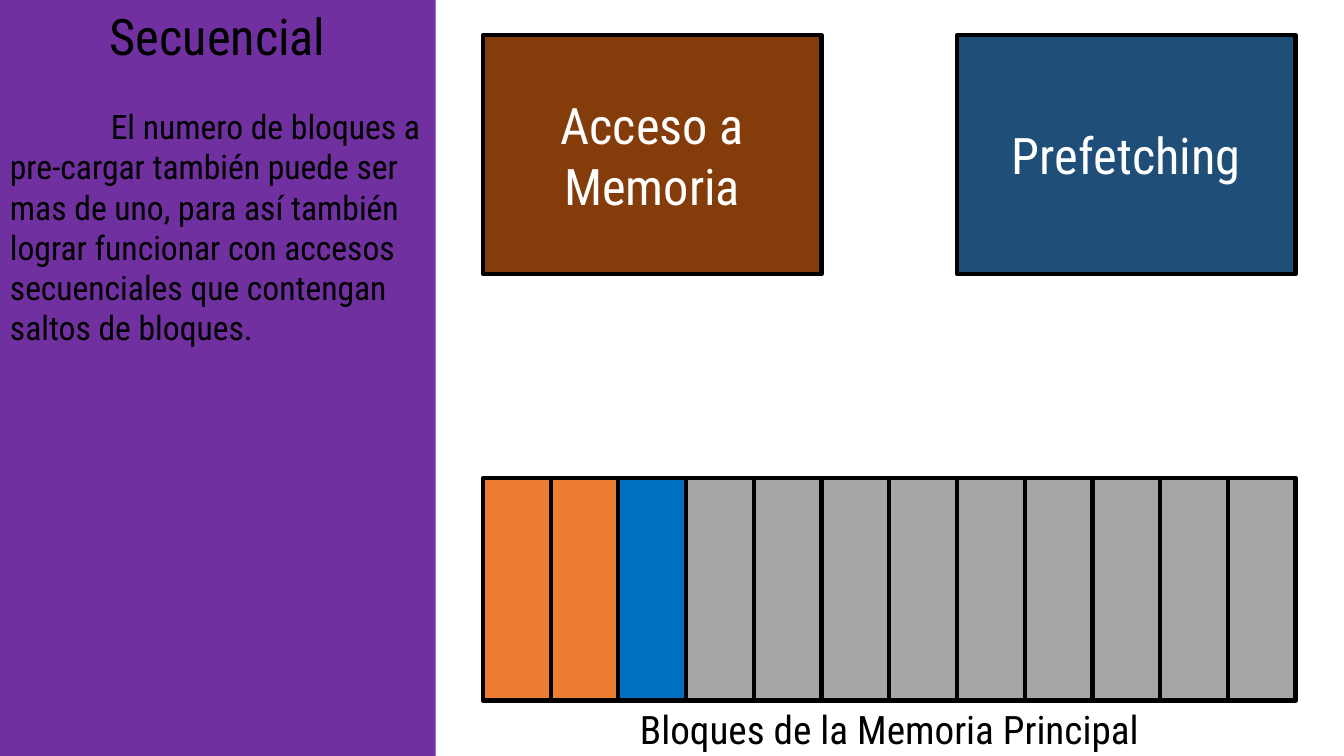
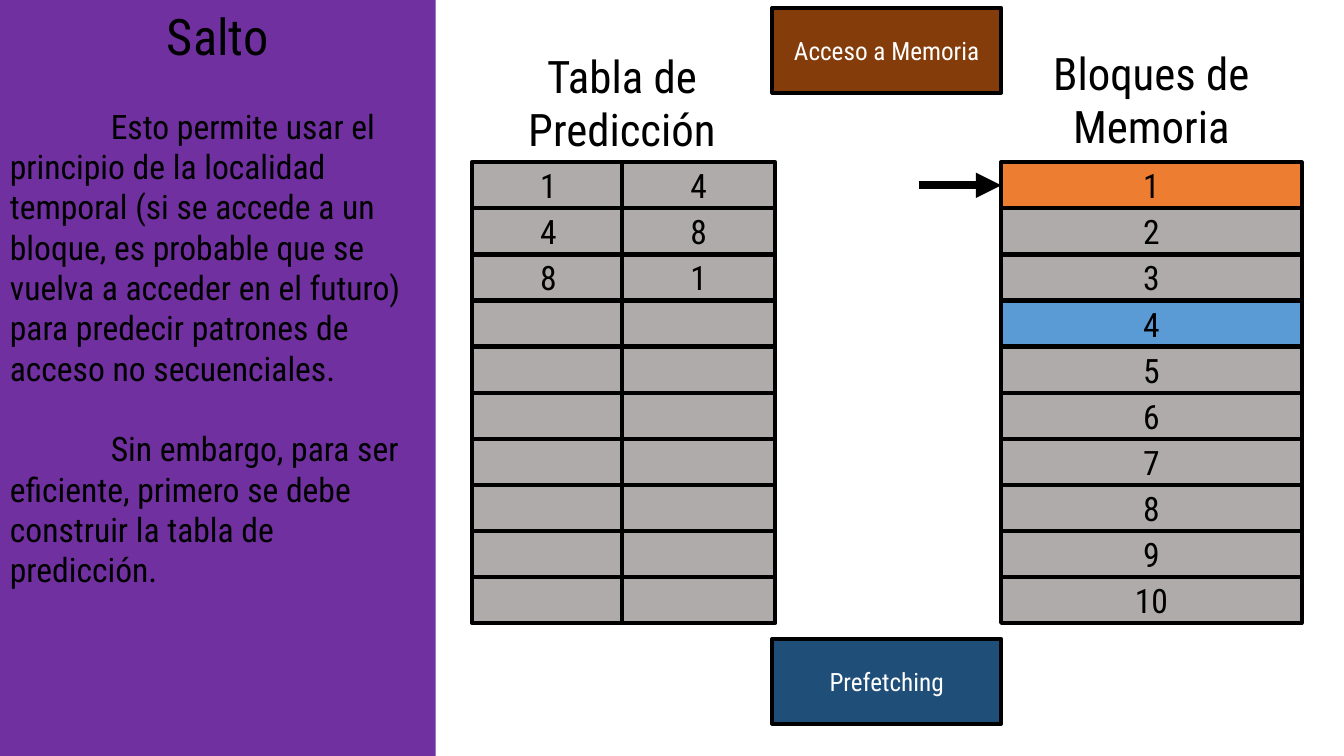
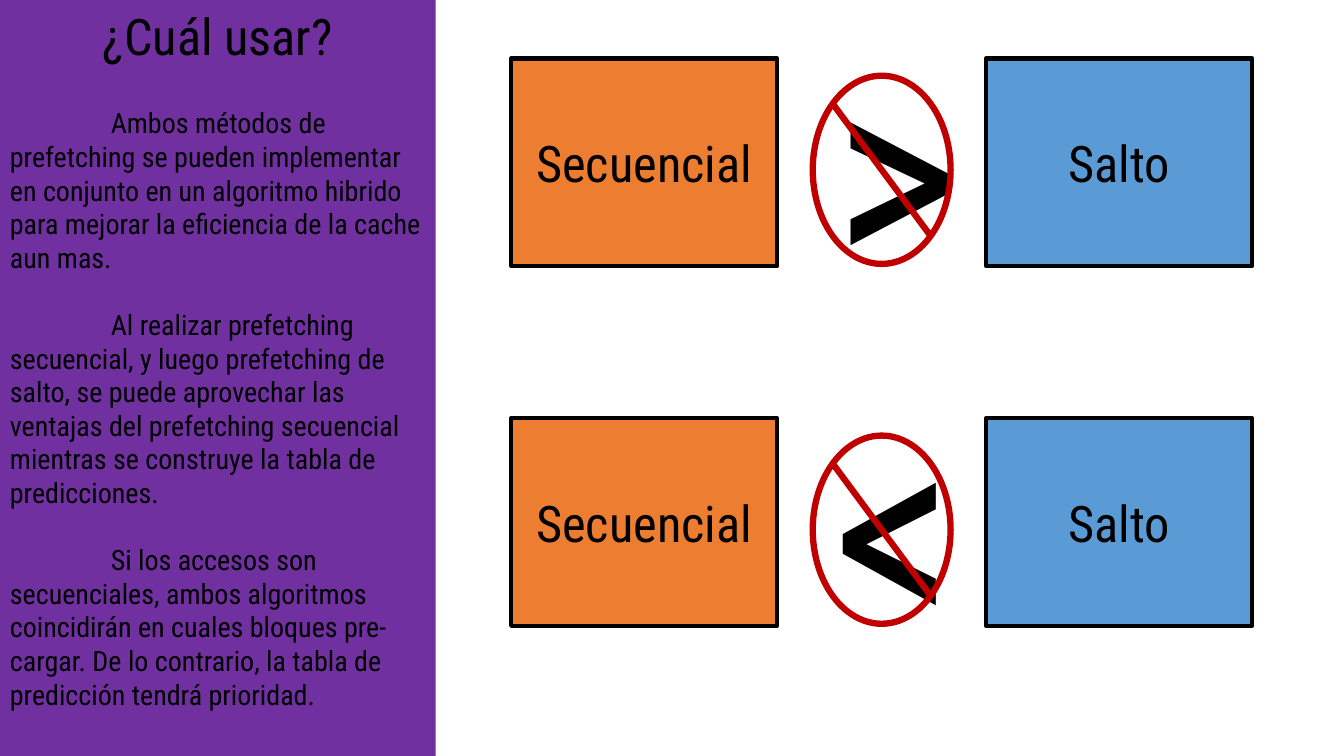
from pptx import Presentation
from pptx.dml.color import RGBColor
from pptx.enum.shapes import MSO_CONNECTOR, MSO_SHAPE
from pptx.enum.text import MSO_ANCHOR, PP_ALIGN
from pptx.oxml.ns import qn
from pptx.util import Inches, Pt
from lxml.etree import SubElement

FONT = "Roboto Condensed"
BLACK, WHITE, PURPLE, RED = "000000", "FFFFFF", "7030A0", "C00000"
BROWN, NAVY = "843C0B", "1F4E79"
ORANGE, BLUE, SKY = "ED7D31", "0070C0", "5B9BD5"
GRAY, WARM_GRAY = "A6A6A6", "AFABAB"
PANEL_WIDTH = 4.32

color = RGBColor.from_string


def write(frame, paragraphs, size, ink=BLACK, prose=False):
    """Fill a frame with centred labels, or with indented prose one line apart."""
    frame.word_wrap = True
    for number, words in enumerate(paragraphs):
        paragraph = frame.add_paragraph() if number else frame.paragraphs[0]
        paragraph.alignment = PP_ALIGN.LEFT if prose else PP_ALIGN.CENTER
        if prose:
            properties = paragraph._p.get_or_add_pPr()
            properties.set("marL", "0")
            properties.set("indent", str(Inches(1)))
            if number:
                paragraph.space_before = Pt(size * 1.2)
        run = paragraph.add_run()
        run.text = words
        run.font.name = FONT
        run.font.size = Pt(size)
        run.font.color.rgb = color(ink)


def block(slide, bounds, fill, words="", size=24, ink=BLACK, border=3, outline=MSO_SHAPE.RECTANGLE):
    shape = slide.shapes.add_shape(outline, *map(Inches, bounds))
    shape.shadow.inherit = False
    shape.fill.solid()
    shape.fill.fore_color.rgb = color(fill)
    if border:
        shape.line.color.rgb = color(BLACK)
        shape.line.width = Pt(border)
    else:
        shape.line.fill.background()
    if words:
        shape.text_frame.vertical_anchor = MSO_ANCHOR.MIDDLE
        write(shape.text_frame, [words], size, ink)
    return shape


deck = Presentation()
deck.slide_width, deck.slide_height = Inches(13.33), Inches(7.5)

# Side panel of every slide
topics = [
    ("Secuencial", 24, 2.12, [
        "El numero de bloques a pre-cargar también puede ser mas de uno, para así también "
        "lograr funcionar con accesos secuenciales que contengan saltos de bloques.",
    ]),
    ("Salto", 24, 4.94, [
        "Esto permite usar el principio de la localidad temporal (si se accede a un bloque, "
        "es probable que se vuelva a acceder en el futuro) para predecir patrones de acceso "
        "no secuenciales.",
        "Sin embargo, para ser eficiente, primero se debe construir la tabla de predicción.",
    ]),
    ("¿Cuál usar?", 20, 6.15, [
        "Ambos métodos de prefetching se pueden implementar en conjunto en un algoritmo "
        "hibrido para mejorar la eficiencia de la cache aun mas.",
        "Al realizar prefetching secuencial, y luego prefetching de salto, se puede aprovechar "
        "las ventajas del prefetching secuencial mientras se construye la tabla de predicciones.",
        "Si los accesos son secuenciales, ambos algoritmos coincidirán en cuales bloques "
        "pre-cargar. De lo contrario, la tabla de predicción tendrá prioridad.",
    ]),
]
for title, size, height, explanation in topics:
    slide = deck.slides.add_slide(deck.slide_layouts[6])
    block(slide, (0, 0, PANEL_WIDTH, 7.5), PURPLE, border=0)
    heading = slide.shapes.add_textbox(0, 0, Inches(PANEL_WIDTH), Inches(0.71))
    write(heading.text_frame, [title], 36)
    body = slide.shapes.add_textbox(0, Inches(1), Inches(PANEL_WIDTH), Inches(height))
    write(body.text_frame, explanation, size, prose=True)

sequential, jump, choice = deck.slides

# Sequential: twelve memory blocks, legend aligned to their columns
left, column = 4.79, 8.06 / 12
for index, fill in enumerate([ORANGE] * 2 + [BLUE] + [GRAY] * 9):
    block(sequential, (left + index * column, 4.74, column, 2.21), fill)
for first_column, fill, words in [(0, BROWN, "Acceso a Memoria"), (7, NAVY, "Prefetching")]:
    block(sequential, (left + first_column * column, 0.35, 5 * column, 2.37), fill, words, 36, WHITE)
caption = sequential.shapes.add_textbox(Inches(5.7), Inches(6.95), Inches(6.24), Inches(0.57))
write(caption.text_frame, ["Bloques de la Memoria Principal"], 28)

# Jump: prediction table and memory blocks share ten rows
top, row = 1.61, 4.57 / 10
table_left, memory_left, list_width = 4.68, 9.93, 2.98
predictions = [("1", "4"), ("4", "8"), ("8", "1")] + [("", "")] * 7
memory_fills = {1: ORANGE, 4: SKY}
for side in range(2):
    for index, pair in enumerate(predictions):
        block(jump, (table_left + side * list_width / 2, top + index * row, 1.52, row),
              WARM_GRAY, pair[side])
for number in range(1, 11):
    block(jump, (memory_left, top + (number - 1) * row, list_width, row),
          memory_fills.get(number, WARM_GRAY), str(number))
for x, y, words in [(table_left, 0.43, "Tabla de Predicción"), (memory_left, 0.4, "Bloques de Memoria")]:
    header = jump.shapes.add_textbox(Inches(x), Inches(y), Inches(list_width), Inches(1.18))
    write(header.text_frame, [words], 32)

pointer_y = Inches(top + row / 2)
pointer = jump.shapes.add_connector(
    MSO_CONNECTOR.STRAIGHT, Inches(9.12), pointer_y, Inches(memory_left), pointer_y)
pointer.line.color.rgb = color(BLACK)
pointer.line.width = Pt(6)
SubElement(pointer.line._get_or_add_ln(), qn("a:tailEnd"), type="triangle")
SubElement(pointer._element.spPr, qn("a:effectLst"))

for y, fill, words in [(0.08, BROWN, "Acceso a Memoria"), (6.34, NAVY, "Prefetching")]:
    block(jump, (table_left + list_width, y, 2.27, 0.84), fill, words, 18, WHITE)

# Choice: neither method is better than the other
for index, sign in enumerate("><"):
    y = 0.58 + index * 3.57
    block(choice, (5.07, y, 2.64, 2.06), ORANGE, "Secuencial", 36)
    block(choice, (9.78, y, 2.64, 2.06), SKY, "Salto", 36)
    comparison = choice.shapes.add_textbox(Inches(8.16), Inches(y - 0.69), Inches(1.18), Inches(3.45))
    write(comparison.text_frame, [sign], 199)
    ban = block(choice, (8.03, y + 0.14, 1.43, 1.93), RED, border=0, outline=MSO_SHAPE.NO_SYMBOL)
    ban.adjustments[0] = 0.044

deck.save("out.pptx")
